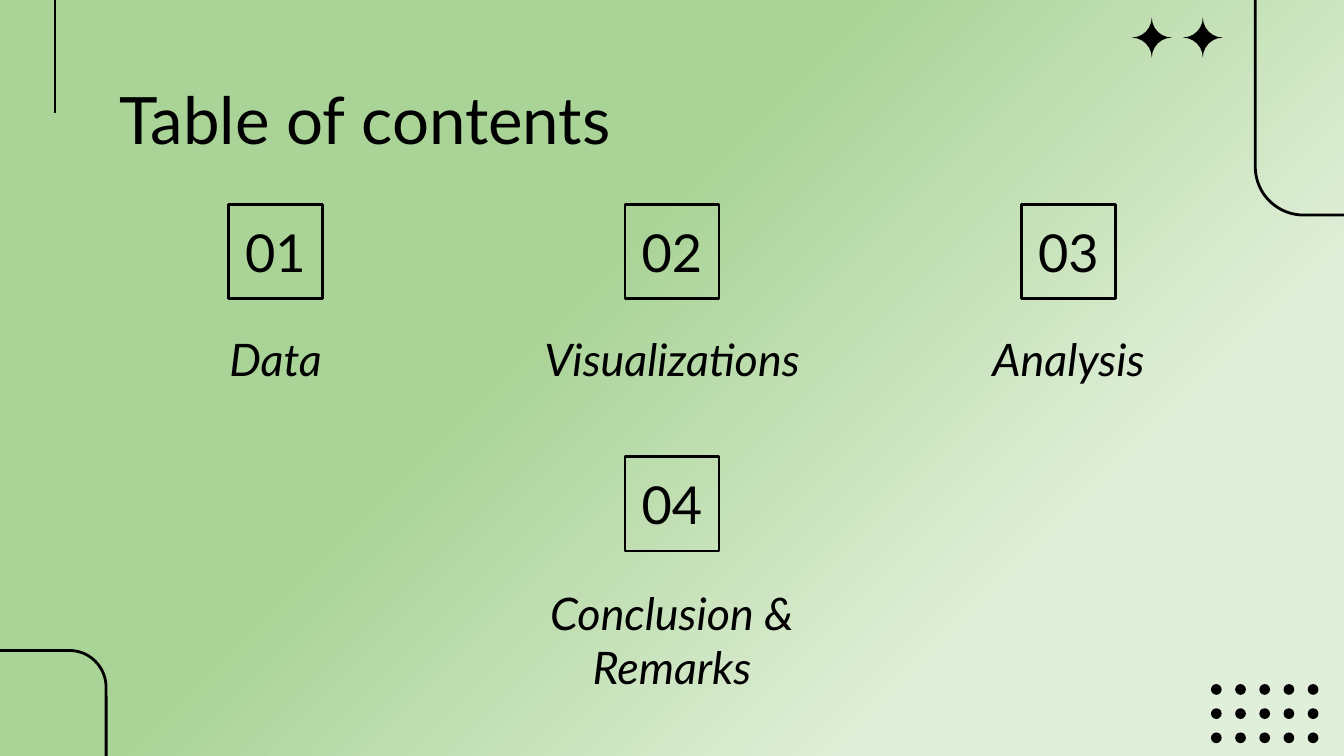
from dataclasses import dataclass

from lxml.etree import SubElement
from pptx import Presentation
from pptx.dml.color import RGBColor
from pptx.enum.shapes import MSO_CONNECTOR, MSO_SHAPE as Shape
from pptx.enum.text import MSO_ANCHOR as Anchor, MSO_AUTO_SIZE, PP_ALIGN as Align
from pptx.oxml.ns import qn
from pptx.util import Inches, Pt

FONT = "Lato"
BLACK = "000000"
LIGHT_GREEN = "E0EFD9"
GREEN = "AAD397"
LINE_WIDTH = Pt(1.5)

BOX_SIZE = 0.7
LABEL_WIDTH, LABEL_HEIGHT = 2.52, 0.43
FIRST_CENTER, COLUMN_STEP = 2.05, 2.95


@dataclass
class Section:
    number: str
    label: str
    column: int
    box_top: float
    label_top: float


@dataclass
class Ornament:
    kind: Shape
    left: float
    top: float
    width: float
    height: float
    adjustment: float | None = None
    filled: bool = True


SECTIONS = [
    Section("01", "Data", 0, 1.52, 2.54),
    Section("02", "Visualizations", 1, 1.52, 2.54),
    Section("03", "Analysis", 2, 1.52, 2.54),
    Section("04", "Conclusion & Remarks", 1, 3.4, 4.83),
]

FRAMES = [
    Ornament(Shape.ROUNDED_RECTANGLE, 9.34, -0.48, 1.44, 2.08, 0.25, False),
    Ornament(Shape.ROUNDED_RECTANGLE, -0.65, 4.84, 1.44, 1.14, 0.24, False),
]
DOTS = [
    Ornament(Shape.OVAL, 9.01 + 0.18 * column, 5.09 + 0.18 * row, 0.08, 0.08)
    for row in range(3)
    for column in range(5)
]
STARS = [Ornament(Shape.PLAQUE, left, 0.13, 0.3, 0.3, 0.5) for left in (8.8, 8.42)]


def color(value: str) -> RGBColor:
    return RGBColor.from_string(value)


def set_background(slide) -> None:
    fill = slide.background.fill
    fill.gradient()
    fill.gradient_angle = 135
    stops = ((0.23, LIGHT_GREEN), (0.59, GREEN))
    for stop, (position, value) in zip(fill.gradient_stops, stops):
        stop.position = position
        stop.color.rgb = color(value)


def draw_ornament(slide, ornament: Ornament):
    shape = slide.shapes.add_shape(
        ornament.kind, Inches(ornament.left), Inches(ornament.top),
        Inches(ornament.width), Inches(ornament.height),
    )
    shape.shadow.inherit = False
    if ornament.adjustment is not None:
        shape.adjustments[0] = ornament.adjustment
    if ornament.filled:
        shape.fill.solid()
        shape.fill.fore_color.rgb = color(BLACK)
        shape.line.fill.background()
    else:
        shape.fill.background()
        shape.line.color.rgb = color(BLACK)
        shape.line.width = LINE_WIDTH
    return shape


def draw_corner_line(slide) -> None:
    line = slide.shapes.add_connector(
        MSO_CONNECTOR.STRAIGHT, Inches(0.41), Inches(-0.28), Inches(0.41), Inches(0.84)
    )
    line.line.color.rgb = color(BLACK)
    line.line.width = LINE_WIDTH
    SubElement(line._element.spPr, qn("a:effectLst"))


def write_text(shape, text: str, size: float, align: Align, anchor: Anchor,
               italic: bool = False) -> None:
    frame = shape.text_frame
    frame.text = text
    frame.word_wrap = True
    frame.auto_size = MSO_AUTO_SIZE.NONE
    frame.vertical_anchor = anchor
    frame.margin_left = frame.margin_right = Inches(0.1)
    frame.margin_top = frame.margin_bottom = Inches(0.1)
    paragraph = frame.paragraphs[0]
    paragraph.alignment = align
    font = paragraph.runs[0].font
    font.name = FONT
    font.size = Pt(size)
    font.italic = italic
    font.color.rgb = color(BLACK)


def draw_title(slide, text: str) -> None:
    title = slide.shapes.title
    title.left, title.top = Inches(0.79), Inches(0.49)
    title.width, title.height = Inches(8.43), Inches(0.63)
    write_text(title, text, 35, Align.LEFT, Anchor.TOP)


def draw_section(slide, section: Section) -> None:
    center = FIRST_CENTER + COLUMN_STEP * section.column
    box = draw_ornament(slide, Ornament(
        Shape.RECTANGLE, center - BOX_SIZE / 2, section.box_top,
        BOX_SIZE, BOX_SIZE, filled=False,
    ))
    write_text(box, section.number, 28, Align.CENTER, Anchor.MIDDLE)
    label = slide.shapes.add_textbox(
        Inches(center - LABEL_WIDTH / 2), Inches(section.label_top),
        Inches(LABEL_WIDTH), Inches(LABEL_HEIGHT),
    )
    write_text(label, section.label, 24, Align.CENTER, Anchor.BOTTOM, italic=True)


def main() -> None:
    presentation = Presentation()
    presentation.slide_width = Inches(10)
    presentation.slide_height = Inches(10 * 9 / 16)
    title_only = presentation.slide_layouts[5]
    slide = presentation.slides.add_slide(title_only)

    set_background(slide)
    for ornament in FRAMES + DOTS + STARS:
        draw_ornament(slide, ornament)
    draw_corner_line(slide)
    draw_title(slide, "Table of contents")
    for section in SECTIONS:
        draw_section(slide, section)

    presentation.save("out.pptx")


if __name__ == "__main__":
    main()
